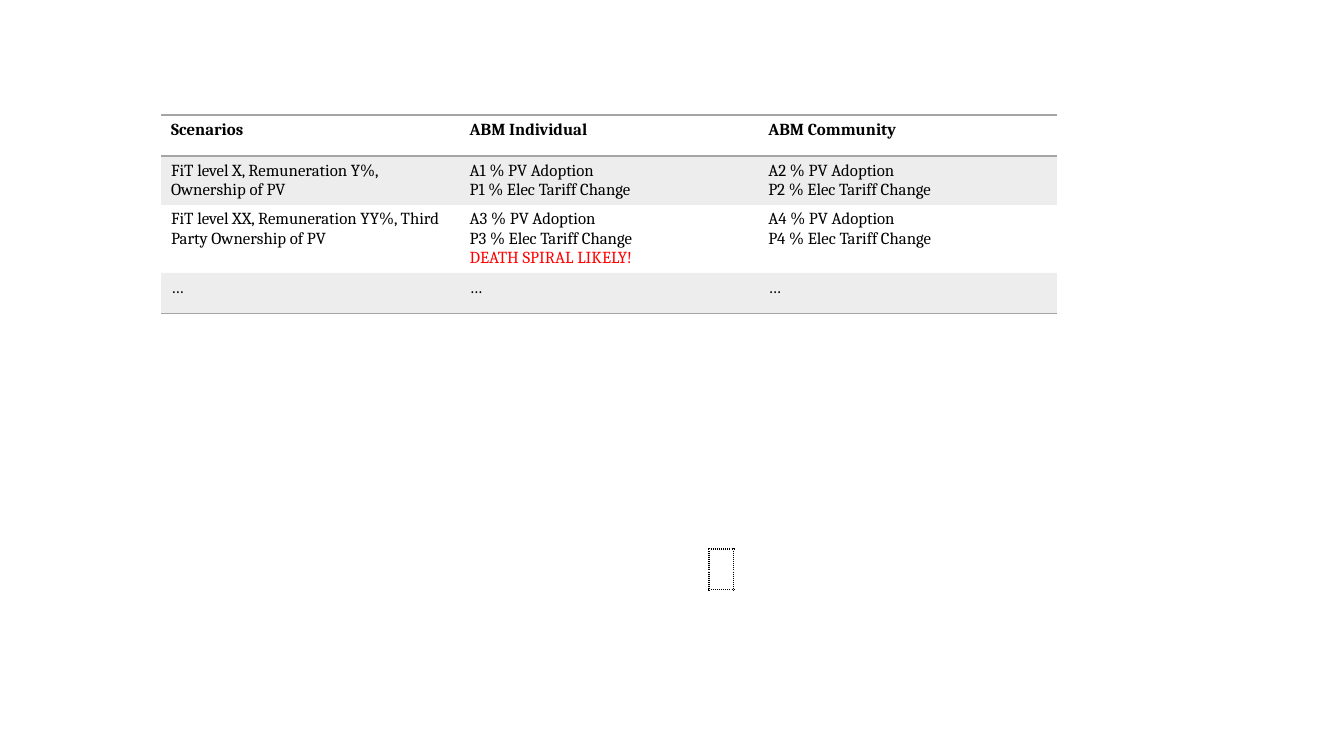
import lxml.etree
import pptx
import pptx.dml.color
import pptx.oxml.ns
import pptx.util

PIXEL = 914400 / 100.8
NO_STYLE = "{2D5ABB26-0587-4C30-8999-92F81FD0307C}"
BLACK, GREY, RED = "000000", "A5A5A5", "FF0000"
WARNING = "DEATH SPIRAL LIKELY!"


def px(length):
    return pptx.util.Emu(round(length * PIXEL))


def color(value):
    return pptx.dml.color.RGBColor.from_string(value)


def add_xml(parent, tag, **attributes):
    return lxml.etree.SubElement(parent, pptx.oxml.ns.qn(tag), attributes)


class SlideBuilder:
    font = {"name": "Cambria", "size": pptx.util.Pt(12)}

    def __init__(self, presentation):
        self.slide = presentation.slides.add_slide(presentation.slide_layouts[6])

    def table(self, left, top, width, height, rows, columns, row_height):
        frame = self.slide.shapes.add_table(
            rows, columns, px(left), px(top), px(width), px(height)
        )
        table = frame.table
        for name in ("first_row", "horz_banding"):
            setattr(table, name, False)
        next(frame.element.iter(pptx.oxml.ns.qn("a:tableStyleId"))).text = NO_STYLE
        for row in table.rows:
            row.height = px(row_height)
        frame.height = px(height)
        return table

    def borders(self, cell, sides, line_color, dash="solid"):
        properties = cell._tc.get_or_add_tcPr()
        for side in sides:
            line = add_xml(properties, f"a:ln{side}", w=str(pptx.util.Pt(1)))
            add_xml(add_xml(line, "a:solidFill"), "a:srgbClr", val=line_color)
            add_xml(line, "a:prstDash", val=dash)

    def fill(self, cell, fill_color, opacity):
        cell.fill.solid()
        cell.fill.fore_color.rgb = color(fill_color)
        swatch = next(cell._tc.tcPr.iterchildren(pptx.oxml.ns.qn("a:solidFill")))[0]
        add_xml(swatch, "a:alpha", val=str(opacity * 1000))

    def text(self, cell, lines, bold):
        cell.text = "\n".join(lines)
        for paragraph in cell.text_frame.paragraphs:
            for run in paragraph.runs:
                for name, value in {**self.font, "bold": bold}.items():
                    setattr(run.font, name, value)
                run.font.color.rgb = color(RED if run.text == WARNING else BLACK)


def main():
    presentation = pptx.Presentation()
    presentation.slide_width, presentation.slide_height = px(1344), px(756)
    builder = SlideBuilder(presentation)

    scenarios = [
        [["Scenarios"], ["ABM Individual"], ["ABM Community"]],
        [
            ["FiT level X, Remuneration Y%, Ownership of PV"],
            ["A1 % PV Adoption", "P1 % Elec Tariff Change"],
            ["A2 % PV Adoption", "P2 % Elec Tariff Change"],
        ],
        [
            ["FiT level XX, Remuneration YY%, Third Party Ownership of PV"],
            ["A3 % PV Adoption", "P3 % Elec Tariff Change", WARNING],
            ["A4 % PV Adoption", "P4 % Elec Tariff Change"],
        ],
        [["…"]] * 3,
    ]
    row_borders = {0: "TB", 3: "B"}
    table = builder.table(161, 115, 896, 203, 4, 3, 41)
    for row, contents in enumerate(scenarios):
        for column, lines in enumerate(contents):
            cell = table.cell(row, column)
            builder.text(cell, lines, bold=row == 0)
            builder.borders(cell, row_borders.get(row, ""), GREY)
            if row % 2:
                builder.fill(cell, GREY, 20)

    for left, top, sides in ((678, 478, ""), (709, 549, "LRTB")):
        small_table = builder.table(left, top, 23, 40, 1, 1, 0)
        builder.borders(small_table.cell(0, 0), sides, BLACK, "sysDot")

    presentation.save("out.pptx")


if __name__ == "__main__":
    main()
